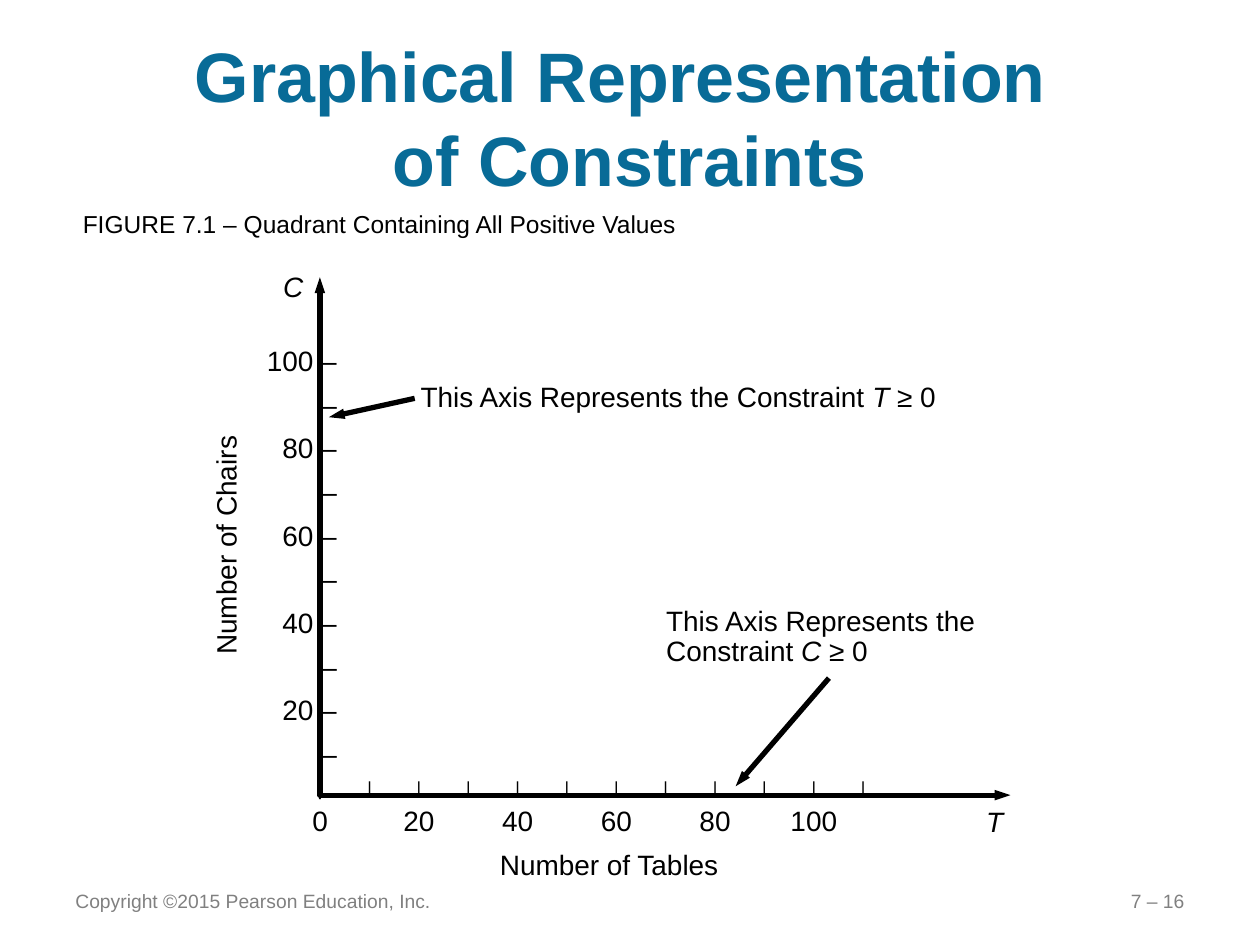
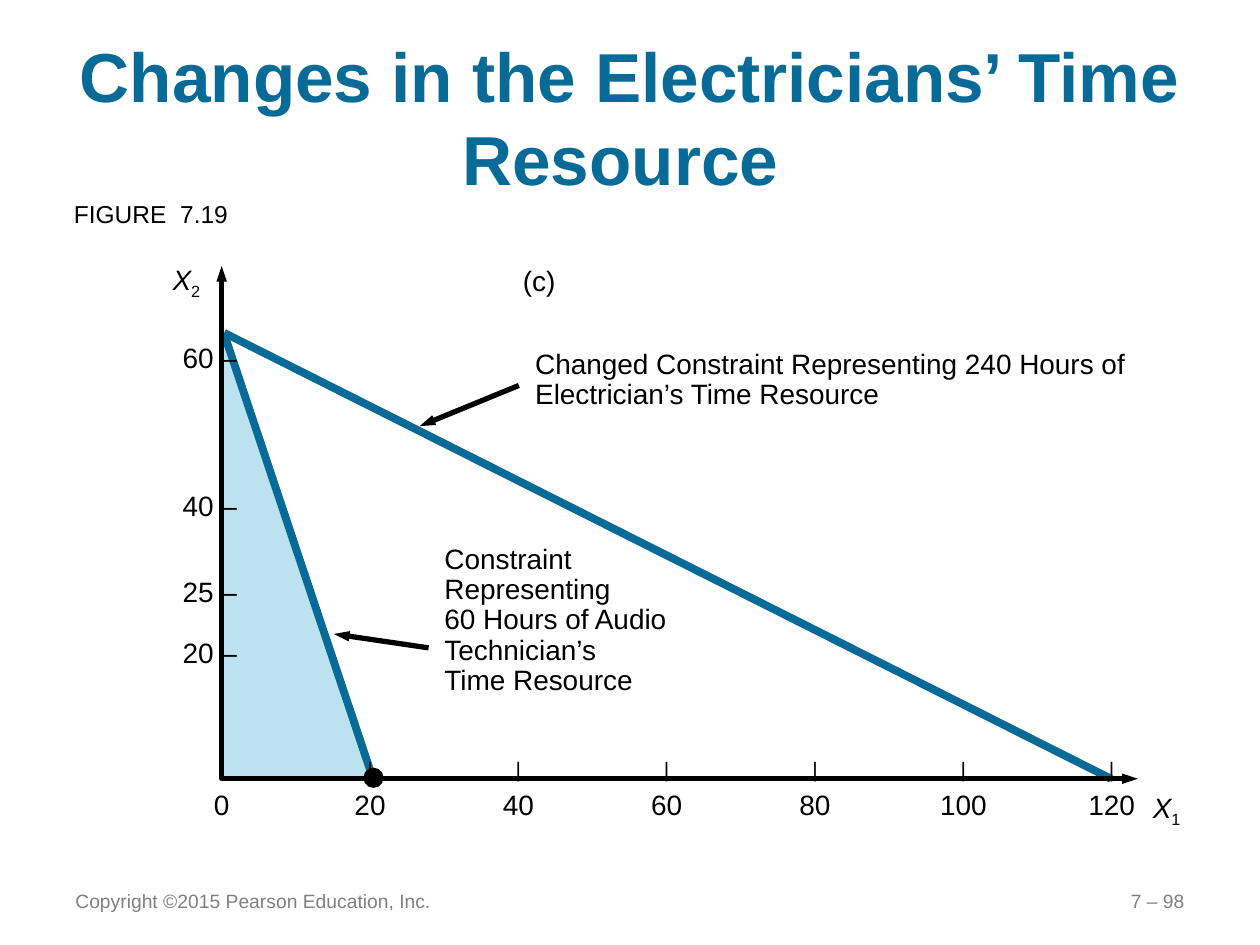
from lxml.etree import SubElement
from pptx import Presentation
from pptx.dml.color import RGBColor
from pptx.enum.shapes import MSO_CONNECTOR, MSO_SHAPE
from pptx.enum.text import MSO_ANCHOR, MSO_AUTO_SIZE, PP_ALIGN
from pptx.oxml.ns import qn
from pptx.util import Cm, Pt


class Theme:
    font = "Arial"
    black = RGBColor(0x00, 0x00, 0x00)
    blue = RGBColor(0x08, 0x6B, 0x97)
    pale_blue = RGBColor(0xBB, 0xE2, 0xEE)
    grey = RGBColor(0x80, 0x80, 0x80)
    label_size = 16
    caption_size = 14
    footer_size = 11
    axis_width = 3
    constraint_width = 4.5
    title_frame = (1.27, 0.76, 22.86, 3.18)
    copyright_frame = (1.27, 17.65, 7.82, 1.02)
    number_frame = (18.21, 17.65, 5.92, 1.02)


LEFT, CENTER, RIGHT = PP_ALIGN.LEFT, PP_ALIGN.CENTER, PP_ALIGN.RIGHT


def write(page, frame, paragraphs, size=Theme.label_size, color=Theme.black, bold=False,
          align=LEFT, spacing=None, tabs=(), wrap=False, anchor=MSO_ANCHOR.TOP, box=None):
    box = box or page.shapes.add_textbox(0, 0, 0, 0)
    box.left, box.top, box.width, box.height = map(Cm, frame)
    text = box.text_frame
    text.word_wrap = wrap
    text.vertical_anchor = anchor
    fixed = anchor == MSO_ANCHOR.MIDDLE
    text.auto_size = MSO_AUTO_SIZE.NONE if fixed else MSO_AUTO_SIZE.SHAPE_TO_FIT_TEXT
    for index, spans in enumerate(paragraphs):
        para = text.add_paragraph() if index else text.paragraphs[0]
        para.alignment = align
        if spacing:
            para.line_spacing = spacing
        if tabs:
            tab_list = SubElement(para._p.get_or_add_pPr(), qn("a:tabLst"))
            for position in tabs:
                SubElement(tab_list, qn("a:tab"), pos=str(Cm(position)), algn="ctr")
        for words, style in spans:
            if words == "\n":
                para.add_line_break()
                SubElement(para._p[-1], qn("a:rPr"), sz=str(int(size * 100)))
                continue
            span = para.add_run()
            span.text = words
            span.font.name = Theme.font
            span.font.size = Pt(style.get("size", size))
            span.font.bold = bold
            span.font.italic = style.get("italic", False)
            span.font.color.rgb = color
            if "baseline" in style:
                span._r.get_or_add_rPr().set("baseline", style["baseline"])
    return box


def style_line(shape, color, width, ends=()):
    shape.line.color.rgb = color
    shape.line.width = Pt(width)
    for end in ends:
        SubElement(shape.line._ln, qn(f"a:{end}"), type="triangle", w="sm", len="med")
    SubElement(shape._element.spPr, qn("a:effectLst"))


plain = {}
italic = {"italic": True}
subscript = {"baseline": "-25000"}

deck = Presentation()
deck.slide_width, deck.slide_height = Cm(25.4), Cm(19.05)

headings = [
    ([("Graphical Representation ", plain), ("\n", plain), ("of Constraints", plain)], 40,
     "FIGURE 7.1 – Quadrant Containing All Positive Values", (1.42, 4.09, 12.57, 0.86),
     "7 – 16"),
    ([("Changes in the Electricians’ Time Resource ", plain)], 39.6,
     "FIGURE  7.19", (1.24, 3.89, 3.66, 0.86),
     "7 – 98"),
]
pages = []
for title, title_size, caption, caption_frame, number in headings:
    page = deck.slides.add_slide(deck.slide_layouts[5])
    write(page, Theme.title_frame, [title], title_size, Theme.blue, bold=True, align=CENTER,
          wrap=True, anchor=MSO_ANCHOR.MIDDLE, box=page.shapes.title)
    write(page, caption_frame, [[(caption, plain)]], Theme.caption_size)
    for frame, words, align in [
        (Theme.copyright_frame, "Copyright ©2015 Pearson Education, Inc.", LEFT),
        (Theme.number_frame, number, RIGHT),
    ]:
        write(page, frame, [[(words, plain)]], Theme.footer_size, Theme.grey, align=align,
              wrap=True, anchor=MSO_ANCHOR.MIDDLE)
    pages.append(page)
quadrant_page, electrician_page = pages

feasible = electrician_page.shapes.build_freeform(Cm(4.52), Cm(6.78))
feasible.add_line_segments([(Cm(4.52), Cm(15.67)), (Cm(7.52), Cm(15.67))], close=True)
region = feasible.convert_to_shape()
region.shadow.inherit = False
region.fill.solid()
region.fill.fore_color.rgb = Theme.pale_blue
region.line.fill.background()

constraint, arrow = (Theme.blue, Theme.constraint_width), (Theme.black, Theme.axis_width, ["tailEnd"])
for page, start, finish, look in [
    (quadrant_page, (8.36, 8.03), (6.63, 8.41), arrow),
    (quadrant_page, (16.71, 13.67), (14.83, 15.85), arrow),
    (electrician_page, (4.52, 6.73), (7.52, 15.7), constraint),
    (electrician_page, (4.52, 6.71), (22.4, 15.7), constraint),
    (electrician_page, (10.46, 7.77), (8.46, 8.59), arrow),
    (electrician_page, (8.64, 13.06), (6.73, 12.78), arrow),
]:
    line = page.shapes.add_connector(MSO_CONNECTOR.STRAIGHT, *map(Cm, start + finish))
    style_line(line, *look)

corner = electrician_page.shapes.add_shape(MSO_SHAPE.OVAL, Cm(7.34), Cm(15.49), Cm(0.38), Cm(0.38))
corner.fill.solid()
corner.fill.fore_color.rgb = Theme.black
style_line(corner, Theme.black, 0.75)

for page, left, top, right, bottom in [
    (quadrant_page, 6.45, 5.59, 20.37, 16.03),
    (electrician_page, 4.47, 5.36, 22.94, 15.7),
]:
    outline = page.shapes.build_freeform(Cm(left), Cm(top))
    outline.add_line_segments([(Cm(left), Cm(bottom)), (Cm(right), Cm(bottom))], close=False)
    axes = outline.convert_to_shape()
    axes.fill.background()
    style_line(axes, Theme.black, Theme.axis_width, ["headEnd", "tailEnd"])

chair_ticks = []
for value in range(100, 0, -20):
    chair_ticks += [[(f"{value} –", plain)], [("–", plain)]]
write(quadrant_page, (3.99, 6.6, 3.05, 10.01), chair_ticks, align=RIGHT, spacing=1.3)

table_ticks = [("\t", plain), ("|\t", {"size": 14}), ("\t".join("|" * 11), {"size": 10})]
table_values = [("\t" + "\t\t".join(str(value) for value in range(0, 101, 20)), plain)]
write(quadrant_page, (5.21, 15.27, 12.55, 1.75), [table_ticks, table_values], spacing=1.1,
      tabs=[11.94 * step / 12 for step in range(1, 13)])

resource_ticks = [[(f"{value} –", plain)] for value in (60, 40, 20)]
write(electrician_page, (3.38, 4.45, 1.65, 8.89), resource_ticks, align=RIGHT, spacing=4.39)
write(electrician_page, (3.43, 11.46, 1.6, 0.94), [[("25 –", plain)]], align=RIGHT)

product_ticks = [("\t\t" + "\t".join("|" * 6), {"size": 12})]
product_values = [("\t" + "\t".join(str(value) for value in range(0, 121, 20)), plain)]
product_ticks[0] = ("\t\t" + "\t".join("|" * 6), {"size": 12})
write(electrician_page, (3.73, 15.06, 20.68, 1.63), [product_ticks, product_values], spacing=1.15,
      tabs=[0.49 + 2.99 * step for step in range(7)], wrap=True)

for page, frame, spans in [
    (quadrant_page, (5.46, 5.31, 1.07, 0.94), [("C", italic)]),
    (quadrant_page, (19.63, 16.1, 0.99, 0.94), [("T", italic)]),
    (quadrant_page, (9.83, 16.97, 4.98, 0.94), [("Number of Tables", plain)]),
    (quadrant_page, (8.23, 7.52, 11.02, 0.94),
     [("This Axis Represents the Constraint ", plain), ("T", italic), (" ≥ 0", plain)]),
    (electrician_page, (10.29, 5.18, 1.19, 0.94), [("(c)", plain)]),
    (electrician_page, (22.99, 15.82, 1.14, 0.94), [("X", italic), ("1", subscript)]),
    (electrician_page, (3.23, 5.16, 1.14, 0.94), [("X", italic), ("2", subscript)]),
]:
    write(page, frame, [spans])

chairs = write(quadrant_page, (2.06, 10.49, 4.98, 0.94), [[("Number of Chairs", plain)]])
chairs.rotation = 270

for page, frame, spans in [
    (quadrant_page, (13.18, 12.12, 7.57, 1.5),
     [("This Axis Represents the Constraint ", plain), ("C", italic), (" ≥ 0", plain)]),
    (electrician_page, (8.71, 10.87, 5.79, 3.33),
     [("Constraint Representing ", plain), ("\n", plain),
      ("60 Hours of Audio Technician’s ", plain), ("\n", plain), ("Time Resource", plain)]),
    (electrician_page, (10.54, 6.93, 12.7, 1.5),
     [("Changed Constraint Representing 240 Hours of Electrician’s Time Resource", plain)]),
]:
    write(page, frame, [spans], spacing=0.9, wrap=True)

deck.save("out.pptx")
